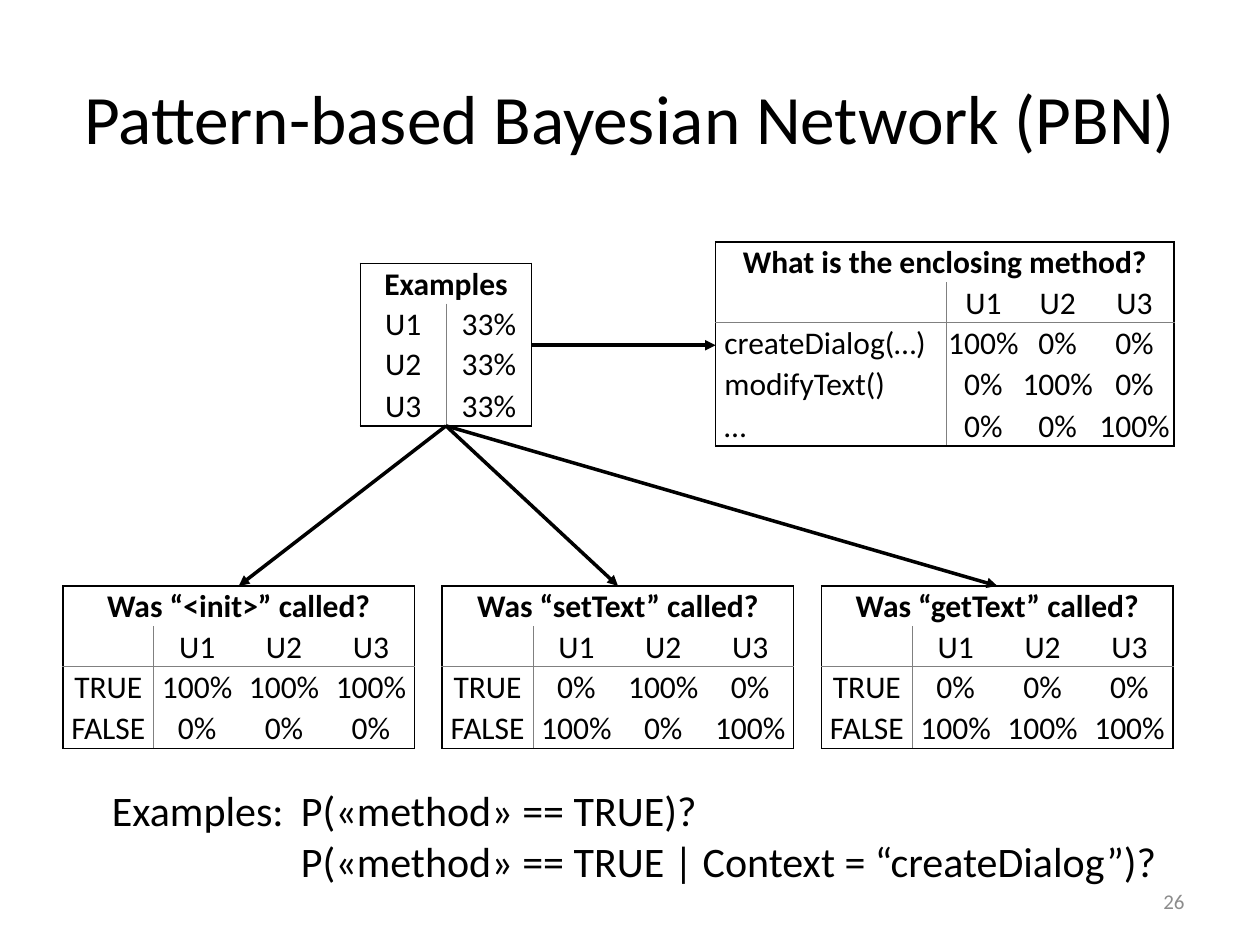
from dataclasses import dataclass

from lxml import etree
from pptx import Presentation
from pptx import util as u
from pptx.dml.color import RGBColor
from pptx.enum import shapes, text
from pptx.oxml import ns


@dataclass(frozen=True)
class Theme:
    """Colours, type sizes and line widths of the slide."""
    font: str = "Calibri"
    ink: str = "000000"
    rule: str = "808080"
    muted: str = "8C8C8C"
    title: float = 39.6
    query: float = 24
    cell: float = 18
    number: float = 12
    frame_width: float = 1
    rule_width: float = 0.5
    arrow_width: float = 2


THEME = Theme()
USES = ["U1", "U2", "U3"]
ROW_HEIGHTS = [0.32, 0.32, 0.32, 0.33, 0.33]
CALL_COLUMNS = [0.72, 0.69, 0.69, 0.69]
CALL_LEFT, CALL_TOP, CALL_STEP = 0.5, 4.65, 3.01
CALLS = {
    "<init>": (["100%", "100%", "100%"], ["0%", "0%", "0%"]),
    "setText": (["0%", "100%", "0%"], ["100%", "0%", "100%"]),
    "getText": (["0%", "0%", "0%"], ["100%", "100%", "100%"]),
}


def add_child(parent, tag, **attributes):
    """Append a drawing element to parent and return it."""
    return etree.SubElement(parent, ns.qn(tag), attributes)


def style(para, size, color=THEME.ink, bold=False, align=text.PP_ALIGN.LEFT):
    """Set the font and alignment of a paragraph."""
    para.alignment = align
    para.font.name = THEME.font
    para.font.size = u.Pt(size)
    para.font.bold = bold
    para.font.color.rgb = RGBColor.from_string(color)


def add_text(page, box, lines, size, color=THEME.ink, align=text.PP_ALIGN.LEFT,
             anchor=text.MSO_ANCHOR.MIDDLE):
    """Place lines of text in a box and return the paragraphs."""
    frame = page.shapes.add_textbox(*map(u.Inches, box)).text_frame
    frame.word_wrap = True
    frame.vertical_anchor = anchor
    frame.text = "\n".join(lines)
    for para in frame.paragraphs:
        style(para, size, color, align=align)
    return frame.paragraphs


def add_queries(page, box):
    """Place the example queries, aligned on one tab stop."""
    lines = ["Examples:\tP(«method» == TRUE)?",
             "\tP(«method» == TRUE | Context = “createDialog”)?"]
    for para in add_text(page, box, lines, THEME.query, anchor=text.MSO_ANCHOR.TOP):
        stops = etree.Element(ns.qn("a:tabLst"))
        add_child(stops, "a:tab", pos=str(u.Inches(1.5)), algn="l")
        para.font._element.addprevious(stops)


def draw_borders(cell, row, column, last_row, last_column, ruled_row):
    """Frame the table, and rule off its labels and its column heads."""
    body = row > 0
    edges = {
        "a:lnL": (column == 0, body and column == 1),
        "a:lnR": (column == last_column or not body, body and column == 0),
        "a:lnT": (row == 0, ruled_row is not None and row == ruled_row + 1),
        "a:lnB": (row == last_row, row == ruled_row),
    }
    properties = cell._tc.get_or_add_tcPr()
    for tag, (framed, ruled) in edges.items():
        width = THEME.frame_width if framed else THEME.rule_width
        line = add_child(properties, tag, w=str(u.Pt(width)))
        if framed or ruled:
            fill = add_child(line, "a:solidFill")
            add_child(fill, "a:srgbClr", val=THEME.ink if framed else THEME.rule)
        else:
            add_child(line, "a:noFill")


def add_node(page, left, top, widths, heading, rows, ruled_row=None, left_labels=False):
    """Place one probability table under a merged heading."""
    heights = ROW_HEIGHTS[:len(rows)] + [ROW_HEIGHTS[-1]]
    box = (left, top, sum(widths), sum(heights))
    table = page.shapes.add_table(len(heights), len(widths), *map(u.Inches, box)).table
    table.first_row = table.horz_banding = False
    for column, width in zip(table.columns, widths):
        column.width = u.Inches(width)
    for line, height in zip(table.rows, heights):
        line.height = u.Inches(height)
    table.cell(0, 0).merge(table.cell(0, len(widths) - 1))
    blanks = [""] * (len(widths) - 1)
    for row, values in enumerate([[heading, *blanks], *rows]):
        for column, value in enumerate(values):
            cell = table.cell(row, column)
            label = left_labels and column == 0 and row > 1
            cell.margin_left = u.Inches(0.07 if label else 0.01)
            cell.margin_right = cell.margin_top = u.Inches(0.01)
            cell.margin_bottom = u.Inches(0)
            cell.vertical_anchor = text.MSO_ANCHOR.BOTTOM
            cell.text = value
            style(cell.text_frame.paragraphs[0], THEME.cell, bold=row == 0,
                  align=text.PP_ALIGN.LEFT if label else text.PP_ALIGN.CENTER)
            draw_borders(cell, row, column, len(heights) - 1, len(widths) - 1, ruled_row)
            cell.fill.background()


def add_arrow(page, start, end):
    """Draw an arrow from start to end."""
    arrow = page.shapes.add_connector(shapes.MSO_CONNECTOR.STRAIGHT,
                                      *map(u.Inches, (*start, *end)))
    arrow.line.width = u.Pt(THEME.arrow_width)
    arrow.line.color.rgb = RGBColor.from_string(THEME.ink)
    add_child(arrow.line._get_or_add_ln(), "a:tailEnd", type="triangle")
    add_child(arrow._element.spPr, "a:effectLst")


def add_network(page):
    """Place the probability tables and the arrows between them."""
    add_node(page, 5.68, 1.92, [1.83, 0.59, 0.59, 0.63], "What is the enclosing method?", [
        ["", *USES],
        ["createDialog(…)", "100%", "0%", "0%"],
        ["modifyText()", "0%", "100%", "0%"],
        ["…", "0%", "0%", "100%"],
    ], ruled_row=1, left_labels=True)
    add_node(page, 2.86, 2.09, [0.68, 0.68], "Examples", [[use, "33%"] for use in USES])
    add_arrow(page, (4.22, 2.74), (5.68, 2.74))
    for index, (method, (true_values, false_values)) in enumerate(CALLS.items()):
        left = CALL_LEFT + index * CALL_STEP
        add_node(page, left, CALL_TOP, CALL_COLUMNS, f"Was “{method}” called?",
                 [["", *USES], ["TRUE", *true_values], ["FALSE", *false_values]], ruled_row=1)
        add_arrow(page, (3.54, 3.38), (left + sum(CALL_COLUMNS) / 2, CALL_TOP))


def main():
    """Build the slide and save it."""
    deck = Presentation()
    deck.slide_width, deck.slide_height = u.Inches(10), u.Inches(7.5)
    page = deck.slides.add_slide(deck.slide_layouts[6])
    add_text(page, (0.5, 0.3, 9, 1.25), ["Pattern-based Bayesian Network (PBN)"],
             THEME.title, align=text.PP_ALIGN.CENTER)
    add_text(page, (7.17, 6.95, 2.33, 0.4), ["26"], THEME.number, THEME.muted,
             align=text.PP_ALIGN.RIGHT)
    add_network(page)
    add_queries(page, (0.79, 6.18, 8.6, 0.91))
    deck.save("out.pptx")


if __name__ == "__main__":
    main()
